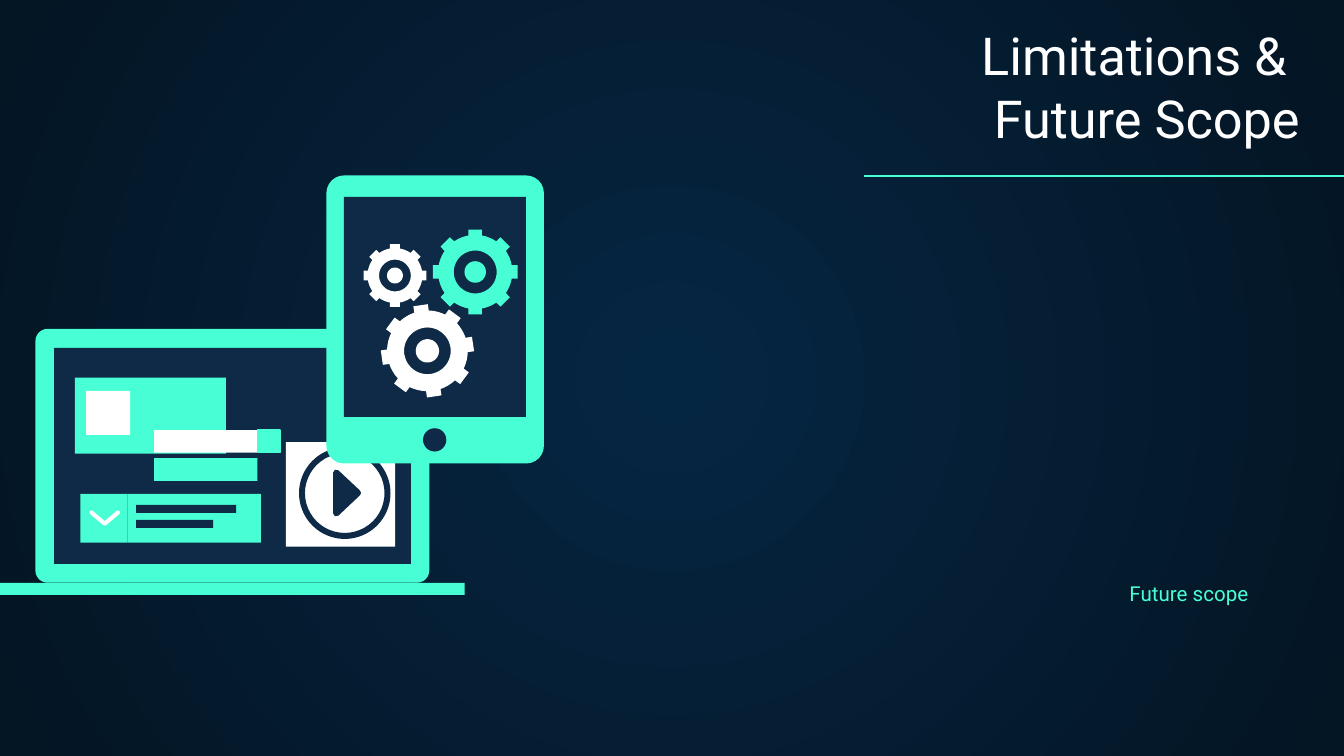
from dataclasses import dataclass
from math import cos, pi, sin

from lxml import etree
from pptx import Presentation
from pptx.dml.color import RGBColor
from pptx.enum.shapes import MSO_CONNECTOR, MSO_SHAPE
from pptx.enum.text import MSO_ANCHOR, MSO_AUTO_SIZE, PP_ALIGN
from pptx.oxml.ns import qn
from pptx.util import Pt

RECT = MSO_SHAPE.RECTANGLE
ROUND = MSO_SHAPE.ROUNDED_RECTANGLE
OVAL = MSO_SHAPE.OVAL
DONUT = MSO_SHAPE.DONUT
STRAIGHT = MSO_CONNECTOR.STRAIGHT
BOTTOM = MSO_ANCHOR.BOTTOM
NO_FIT = MSO_AUTO_SIZE.NONE
RIGHT = PP_ALIGN.RIGHT


@dataclass(frozen=True)
class Theme:
    mint: RGBColor = RGBColor(0x48, 0xFF, 0xD5)
    navy: RGBColor = RGBColor(0x0E, 0x2A, 0x47)
    white: RGBColor = RGBColor(0xFF, 0xFF, 0xFF)
    glow: RGBColor = RGBColor(0x05, 0x26, 0x43)
    edge: RGBColor = RGBColor(0x04, 0x15, 0x23)
    font: str = "Roboto"
    title: float = 28
    label: float = 11
    rule: float = 0.75


T = Theme()


def paint(sp, fill=None, line=None, width=T.rule):
    sp.shadow.inherit = False
    if fill is None:
        sp.fill.background()
    else:
        sp.fill.solid()
        sp.fill.fore_color.rgb = fill
    if line is None:
        sp.line.fill.background()
    else:
        sp.line.color.rgb = line
        sp.line.width = Pt(width)
    return sp


def add_block(slide, kind, x, y, w, h, fill, line=None, adjust=None):
    sp = slide.shapes.add_shape(kind, Pt(x), Pt(y), Pt(w), Pt(h))
    if adjust is not None:
        sp.adjustments[0] = adjust
    return paint(sp, fill, line)


def add_outline(slide, contours, close=True):
    contours = [[(Pt(x), Pt(y)) for x, y in c] for c in contours]
    builder = slide.shapes.build_freeform(*contours[0][0])
    for i, points in enumerate(contours):
        if i:
            builder.move_to(*points[0])
        builder.add_line_segments(points[1:], close=close)
    return builder.convert_to_shape()


def add_gear(slide, cx, cy, radius, fill, turn=0, teeth=8):
    def at(angle, ratio):
        return cx + radius * ratio * sin(angle), cy - radius * ratio * cos(angle)

    def circle(ratio, steps=48):
        return [at(2 * pi * i / steps, ratio) for i in range(steps)]

    body, half_tip, half_root = 0.865, 0.157, 0.182
    pitch = 2 * pi / teeth
    gap = pitch - 2 * half_root
    rim = []
    for i in range(teeth):
        a = turn * pi / 180 + i * pitch
        rim += [at(a - half_tip, 1), at(a + half_tip, 1)]
        rim += [at(a + half_root + gap * k / 4, body) for k in range(5)]
    paint(add_outline(slide, [circle(0.25), circle(0.5), rim]), fill)


def write(sp, text, size, color):
    tf = sp.text_frame
    tf.word_wrap = True
    tf.auto_size = NO_FIT
    tf.vertical_anchor = BOTTOM
    tf.margin_left = tf.margin_right = tf.margin_top = tf.margin_bottom = Pt(7.2)
    p = tf.paragraphs[0]
    p.text = text
    p.alignment = RIGHT
    for r in p.runs:
        r.font.name = T.font
        r.font.size = Pt(size)
        r.font.color.rgb = color


def set_background(slide):
    fill = slide.background.fill
    fill.gradient()
    for stop, color, position in zip(fill.gradient_stops, (T.glow, T.edge), (0, 1)):
        stop.color.rgb = color
        stop.position = position
    lin = slide.element.find(".//" + qn("a:lin"))
    radial = etree.Element(qn("a:path"), {"path": "circle"})
    etree.SubElement(radial, qn("a:fillToRect"), dict.fromkeys("ltrb", "50000"))
    lin.getparent().replace(lin, radial)


def add_heading(slide, x, y, w, h):
    sp = slide.shapes.title
    sp.left, sp.top, sp.width, sp.height = Pt(x), Pt(y), Pt(w), Pt(h)
    write(sp, "Limitations & \vFuture Scope", T.title, T.white)
    rule_y = Pt(y + h + 7.2)
    rule = slide.shapes.add_connector(
        STRAIGHT, Pt(x + 376.6), rule_y, Pt(x + 640.1), rule_y)
    rule.line.color.rgb = T.mint
    rule.line.width = Pt(T.rule)
    etree.SubElement(rule.element.spPr, qn("a:effectLst"))


def add_label(slide, x, y, w, h):
    sp = slide.shapes.add_textbox(Pt(x), Pt(y), Pt(w), Pt(h))
    write(sp, "Future scope", T.label, T.mint)


def add_laptop(slide, x, y):
    add_block(slide, ROUND, x + 19, y, 211, 136, T.mint, adjust=0.048)
    parts = [
        (29, 10.2, 191.2, 115.7, T.navy, None),
        (0, 136, 249, 6.5, T.mint, None),
        (40.2, 26.2, 80.9, 40.7, T.mint, None),
        (46.1, 33.2, 23.6, 23.6, T.white, None),
        (68.3, 88.4, 71.5, 26.2, T.mint, None),
        (72.9, 94.3, 53.6, 4.3, T.navy, None),
        (72.9, 102.3, 41.3, 4.3, T.navy, None),
        (43, 88.4, 25.3, 26.2, T.mint, None),
        (82.6, 69.3, 55.3, 12.2, T.mint, None),
        (82.6, 54.2, 55.3, 12.2, T.white, None),
        (137.9, 54.2, 12.2, 12.2, T.mint, T.mint),
        (153.2, 60.6, 58.5, 56.1, T.white, None),
    ]
    for dx, dy, w, h, fill, line in parts:
        add_block(slide, RECT, x + dx, y + dy, w, h, fill, line)

    chevron = [(x + 49, y + 98.4), (x + 56.1, y + 104.4), (x + 63.2, y + 98.4)]
    sp = paint(add_outline(slide, [chevron], close=False), line=T.white, width=2.2)
    sp.element.spPr.find(qn("a:ln")).set("cap", "rnd")

    add_block(slide, DONUT, x + 160.2, y + 63.5, 49, 49, T.navy, adjust=0.065)
    play = [(x + 180.1, y + 77), (x + 191.7, y + 87.9), (x + 180.1, y + 98.8)]
    paint(add_outline(slide, [play]), T.navy, T.navy, 3.4)


def add_tablet(slide, x, y):
    add_block(slide, ROUND, x, y, 116.5, 154.3, T.mint, adjust=0.081)
    add_block(slide, RECT, x + 9.4, y + 11.5, 97.5, 117.9, T.navy)
    add_block(slide, OVAL, x + 51.7, y + 135.4, 12.5, 12.5, T.navy)
    add_gear(slide, x + 79.7, y + 51.7, 23, T.mint)
    add_gear(slide, x + 36.7, y + 53.6, 17, T.white)
    add_gear(slide, x + 54.1, y + 94, 25, T.white, turn=-8.5)


def main():
    prs = Presentation()
    prs.slide_width, prs.slide_height = Pt(720), Pt(405)
    slide = prs.slides.add_slide(prs.slide_layouts[5])
    set_background(slide)
    add_heading(slide, 86.4, 39.6, 617, 47.5)
    add_label(slide, 512.6, 152.6, 163.4, 179.3)
    add_laptop(slide, 0, 176.2)
    add_tablet(slide, 174.9, 94)
    prs.save("out.pptx")


if __name__ == "__main__":
    main()
